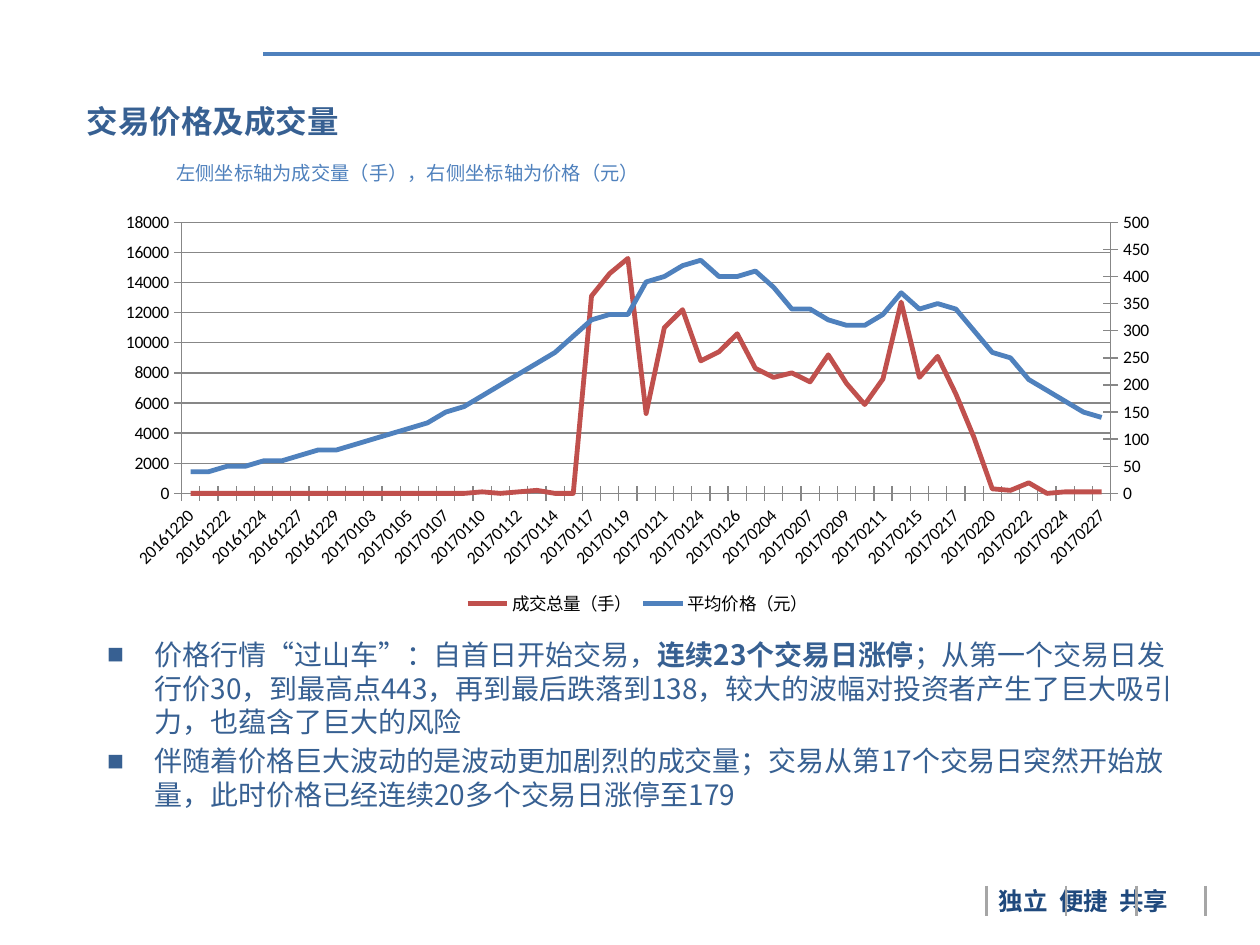
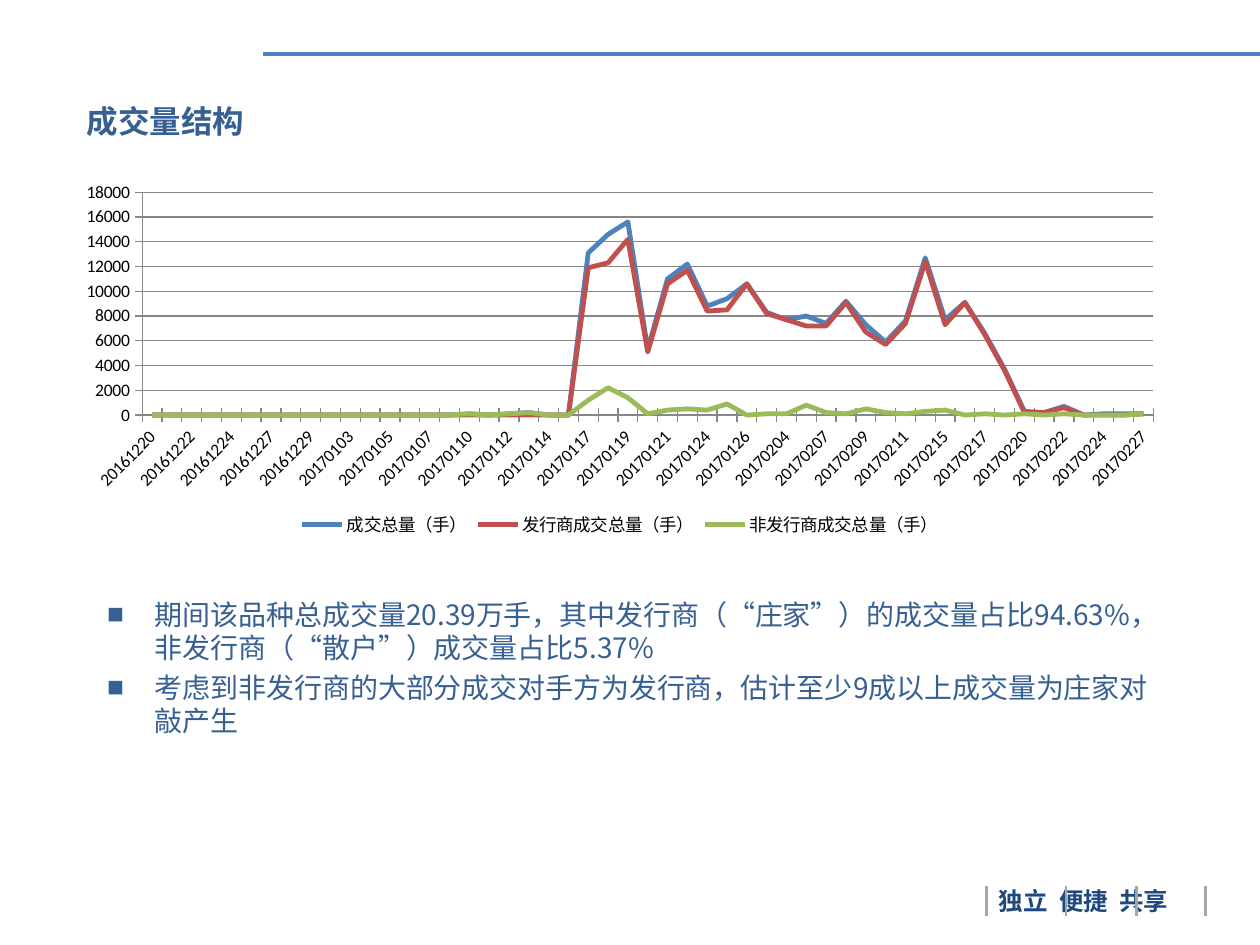
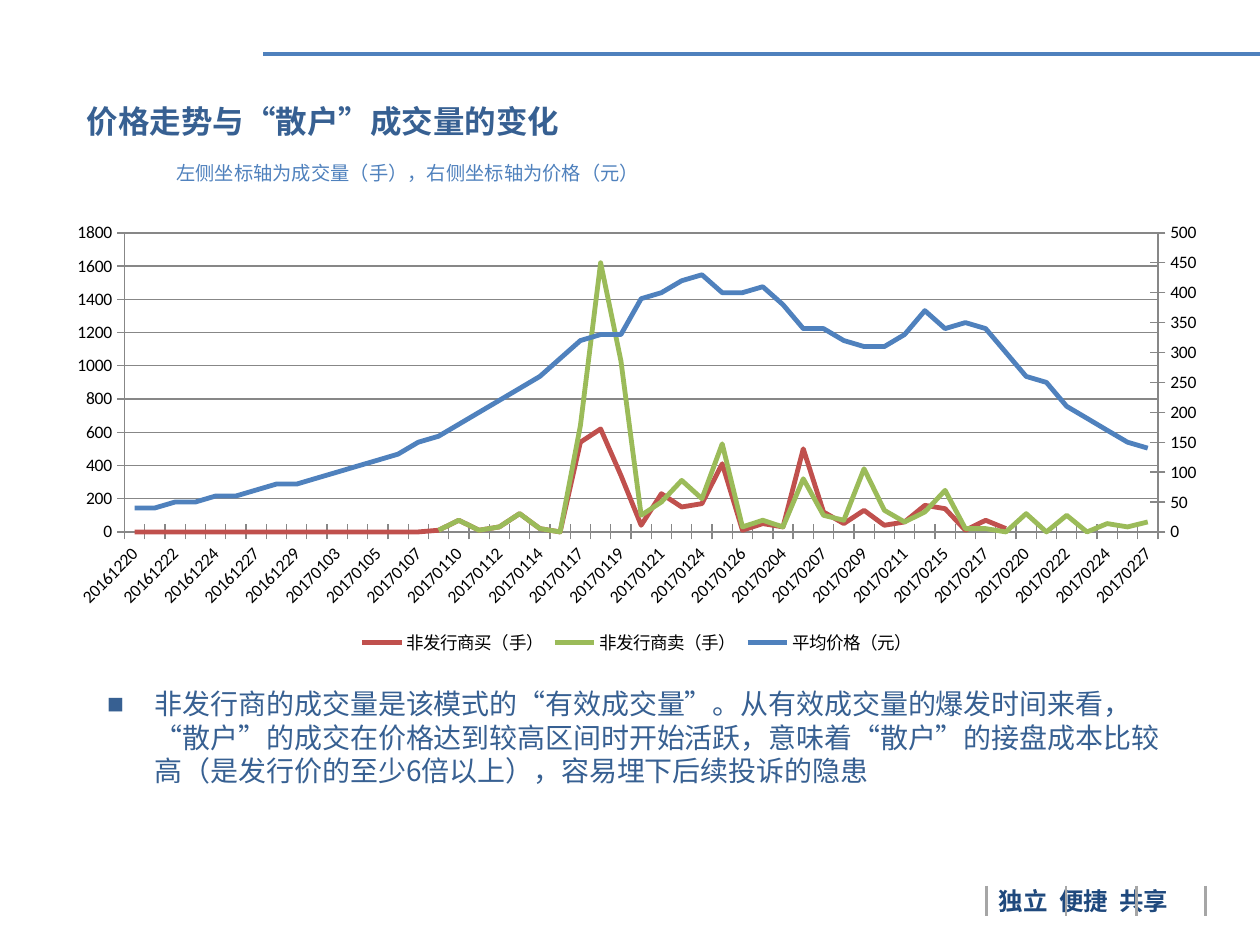
import copy
import dataclasses

import pptx
import pptx.chart.data
import pptx.dml.color
import pptx.enum.chart
import pptx.enum.shapes
import pptx.enum.text
import pptx.oxml
import pptx.oxml.ns
import pptx.util

Inches = pptx.util.Inches
Pt = pptx.util.Pt
qn = pptx.oxml.ns.qn


@dataclasses.dataclass(frozen=True)
class Theme:
    blue: str = "4F81BD"
    red: str = "C0504D"
    green: str = "9BBB59"
    heading: str = "376092"
    motto: str = "1F497D"
    divider: str = "A6A6A6"
    axis: str = "878787"
    black: str = "000000"
    text_font: str = "Noto Sans CJK SC"
    chart_font: str = "Calibri"
    title_size: float = 18
    body_size: float = 16
    motto_size: float = 14
    caption_size: float = 11
    chart_size: float = 10
    rule_width: float = 2.25
    divider_width: float = 1.5
    series_width: float = 2.75
    axis_width: float = 0.75


theme = Theme()


def rgb(value):
    return pptx.dml.color.RGBColor.from_string(value)


def add_span(para, text, size, color, bold=False):
    span = para.add_run()
    span.text = text
    span.font.size = Pt(size)
    span.font.bold = bold
    span.font.color.rgb = rgb(color)
    span.font.name = theme.text_font
    east_asian = span._r.get_or_add_rPr().makeelement(qn("a:ea"), {"typeface": theme.text_font})
    span.font._element.find(qn("a:latin")).addnext(east_asian)
    return span


# Trading days
trading_days = {
    "201612": "20 21 22 23 24 26 27 28 29 30",
    "201701": "03 04 05 06 07 09 10 11 12 13 14 16 17 18 19 20 21 23 24 25 26",
    "201702": "03 04 06 07 08 09 10 11 13 15 16 17 18 20 21 22 23 24 25 27",
}
dates = [month + day for month, days in trading_days.items() for day in days.split()]

# Series values, one per trading day
total_volume = [0] * 16 + [
    100, 0, 100, 200, 0, 0, 13100, 14600, 15600, 5300, 11000, 12200, 8800, 9400, 10600,
    8300, 7700, 8000, 7400, 9200, 7300, 5900, 7600, 12700, 7700, 9100, 6600, 3700,
    300, 200, 700, 0, 100, 100, 100]
issuer_volume = [0] * 22 + [
    11900, 12300, 14200, 5100, 10600, 11700, 8400, 8500, 10600, 8200, 7700, 7200, 7200,
    9100, 6700, 5700, 7400, 12400, 7300, 9100, 6500, 3600, 200, 200, 600, 0, 0, 0, 100]
retail_volume = [0] * 16 + [
    100, 0, 100, 200, 0, 0, 1200, 2200, 1400, 100, 400, 500, 400, 900, 0, 100, 100, 800,
    200, 100, 500, 200, 100, 300, 400, 0, 100, 0, 100, 0, 100, 0, 0, 0, 100]
retail_buys = [0] * 15 + [
    10, 70, 10, 30, 110, 20, 0, 540, 620, 340, 40, 230, 150, 170, 410, 10, 50, 30, 500,
    120, 50, 130, 40, 60, 160, 140, 10, 70, 20, None, 0] + [None] * 5
retail_sales = [None] * 4 + [0] + [None] * 8 + [
    0, None, 10, 70, 10, 30, 110, 20, 0, 640, 1620, 1030, 100, 180, 310, 200, 530, 30, 70,
    30, 320, 100, 70, 380, 130, 60, 120, 250, 20, 20, 0, 110, 0, 100, 0, 50, 30, 60]
average_price = [
    40, 40, 50, 50, 60, 60, 70, 80, 80, 90, 100, 110, 120, 130, 150, 160, 180, 200, 220,
    240, 260, 290, 320, 330, 330, 390, 400, 420, 430, 400, 400, 410, 380, 340, 340, 320,
    310, 310, 330, 370, 340, 350, 340, 300, 260, 250, 210, 190, 170, 150, 140]

# Slide contents; each bullet is a list of (text, bold)
axis_caption = "左侧坐标轴为成交量（手），右侧坐标轴为价格（元）"
price_series = ("平均价格（元）", average_price, theme.blue)
pages = [
    dict(
        title="交易价格及成交量", caption=axis_caption,
        body_top=5.01, body_height=1.5,
        bullets=[
            [("价格行情“过山车”：自首日开始交易，", False),
             ("连续23个交易日涨停", True),
             ("；从第一个交易日发行价30，到最高点443，再到最后跌落到138，"
              "较大的波幅对投资者产生了巨大吸引力，也蕴含了巨大的风险", False)],
            [("伴随着价格巨大波动的是波动更加剧烈的成交量；交易从第17个交易日突然开始放量，"
              "此时价格已经连续20多个交易日涨停至179", False)],
        ],
        chart_place=(0.83, 1.62, 8.46, 3.31), volume_step=2000,
        volumes=[("成交总量（手）", total_volume, theme.red)], price=price_series,
    ),
    dict(
        title="成交量结构", caption=None,
        body_top=4.69, body_height=1.23,
        bullets=[
            [("期间该品种总成交量20.39万手，其中发行商（“庄家”）的成交量占比94.63%，"
              "非发行商（“散户”）成交量占比5.37%", False)],
            [("考虑到非发行商的大部分成交对手方为发行商，估计至少9成以上成交量为庄家对敲产生", False)],
        ],
        chart_place=(0.51, 1.39, 8.82, 2.91), volume_step=2000,
        volumes=[("成交总量（手）", total_volume, theme.blue),
                 ("发行商成交总量（手）", issuer_volume, theme.red),
                 ("非发行商成交总量（手）", retail_volume, theme.green)], price=None,
    ),
    dict(
        title="价格走势与“散户”成交量的变化", caption=axis_caption,
        body_top=5.4, body_height=0.91,
        bullets=[
            [("非发行商的成交量是该模式的“有效成交量”。从有效成交量的爆发时间来看， "
              "“散户”的成交在价格达到较高区间时开始活跃，意味着“散户”的接盘成本比较高"
              "（是发行价的至少6倍以上），容易埋下后续投诉的隐患", False)],
        ],
        chart_place=(0.43, 1.7, 9.25, 3.54), volume_step=200,
        volumes=[("非发行商买（手）", retail_buys, theme.red),
                 ("非发行商卖（手）", retail_sales, theme.green)], price=price_series,
    ),
]

# Lines on every slide: start, end, colour, width
shared_lines = [((2.09, 0.43), (10.04, 0.43), theme.blue, theme.rule_width)]
shared_lines += [((x, 7.03), (x, 7.27), theme.divider, theme.divider_width)
                 for x in (7.83, 8.46, 9.02, 9.57)]

deck = pptx.Presentation()
deck.slide_width = Inches(10)
deck.slide_height = Inches(7.5)

for content in pages:
    page = deck.slides.add_slide(deck.slide_layouts[1])
    title, body = page.placeholders

    # Title, bullet list, footer motto and axis caption frames
    motto = page.shapes.add_textbox(0, 0, 0, 0)
    frames = [(title, 0.59, 0.76, 6.77, 0.4),
              (body, 0.75, content["body_top"], 8.66, content["body_height"]),
              (motto, 7.83, 6.98, 1.97, 0.34)]
    if content["caption"]:
        caption = page.shapes.add_textbox(0, 0, 0, 0)
        frames.append((caption, 1.3, 1.23, 7.56, 0.29))
        add_span(caption.text_frame.paragraphs[0], content["caption"],
                 theme.caption_size, theme.blue)
    for box, left, top, width, height in frames:
        box.left, box.top = Inches(left), Inches(top)
        box.width, box.height = Inches(width), Inches(height)
        box.text_frame.word_wrap = True
        box.text_frame.auto_size = pptx.enum.text.MSO_AUTO_SIZE.SHAPE_TO_FIT_TEXT
        box.text_frame.vertical_anchor = pptx.enum.text.MSO_ANCHOR.TOP

    # Title
    para = title.text_frame.paragraphs[0]
    para.alignment = pptx.enum.text.PP_ALIGN.LEFT
    add_span(para, content["title"], theme.title_size, theme.heading, True)

    # Bullets
    for number, bullet in enumerate(content["bullets"]):
        para = body.text_frame.add_paragraph() if number else body.text_frame.paragraphs[0]
        para.level = 1
        properties = para._p.get_or_add_pPr()
        properties.set("marL", str(Inches(0.38)))
        properties.set("indent", str(Inches(-0.38)))
        mark = properties.makeelement(qn("a:buChar"), {"char": "■"})
        properties.append(mark)
        for text, bold in bullet:
            add_span(para, text, theme.body_size, theme.heading, bold)

    # Footer motto, with widened spaces between the words
    para = motto.text_frame.paragraphs[0]
    for number, word in enumerate(("独立", "便捷", "共享")):
        if number:
            gap = add_span(para, " ", theme.motto_size, theme.motto, True)
            gap._r.get_or_add_rPr().set("spc", "310")
        add_span(para, word, theme.motto_size, theme.motto, True)

    # Header rule and footer dividers
    for start, end, color, width in shared_lines:
        line = page.shapes.add_connector(
            pptx.enum.shapes.MSO_CONNECTOR.STRAIGHT, *map(Inches, start + end))
        line.line.color.rgb = rgb(color)
        line.line.width = Pt(width)
        line_properties = line._element.spPr
        line_properties.append(line_properties.makeelement(qn("a:effectLst"), {}))

    # Line chart
    series_list = content["volumes"] + ([content["price"]] if content["price"] else [])
    data = pptx.chart.data.CategoryChartData()
    data.categories = dates
    for name, values, color in series_list:
        data.add_series(name, values)
    chart = page.shapes.add_chart(pptx.enum.chart.XL_CHART_TYPE.LINE,
                                  *map(Inches, content["chart_place"]), data).chart
    chart.has_title = False
    chart.font.name = theme.chart_font
    chart.font.size = Pt(theme.chart_size)
    chart.font.color.rgb = rgb(theme.black)
    chart.has_legend = True
    chart.legend.position = pptx.enum.chart.XL_LEGEND_POSITION.BOTTOM
    chart.legend.include_in_layout = False
    chart.plots[0].vary_by_categories = False
    for series, (name, values, color) in zip(chart.plots[0].series, series_list):
        series.smooth = False
        series.format.line.color.rgb = rgb(color)
        series.format.line.width = Pt(theme.series_width)

    # Axes
    volume_axis = chart.value_axis
    volume_axis.minimum_scale = 0
    volume_axis.maximum_scale = 9 * content["volume_step"]
    volume_axis.major_unit = content["volume_step"]
    volume_axis.has_major_gridlines = True
    for axis in (chart.category_axis, volume_axis):
        axis.major_tick_mark = pptx.enum.chart.XL_TICK_MARK.CROSS
    for part in (chart.category_axis, volume_axis, volume_axis.major_gridlines):
        part.format.line.color.rgb = rgb(theme.axis)
        part.format.line.width = Pt(theme.axis_width)

    # Price moves to a second plot with its own axis on the right
    if content["price"]:
        left_plot = chart.plots[0]._element
        right_plot = copy.deepcopy(left_plot)
        left_plot.remove(left_plot.findall(qn("c:ser"))[-1])
        for series in right_plot.findall(qn("c:ser"))[:-1]:
            right_plot.remove(series)
        left_plot.addnext(right_plot)

        date_axis = chart.category_axis._element
        right_dates = copy.deepcopy(date_axis)
        right_prices = copy.deepcopy(volume_axis._element)
        right_prices.remove(right_prices.find(qn("c:majorGridlines")))
        volume_axis._element.addnext(right_prices)
        right_prices.addnext(right_dates)
        for reference, number in zip(right_plot.findall(qn("c:axId")), ("5001", "5002")):
            reference.set("val", number)
        for axis, own, other in ((right_dates, "5001", "5002"), (right_prices, "5002", "5001")):
            axis.find(qn("c:axId")).set("val", own)
            axis.find(qn("c:crossAx")).set("val", other)
        right_dates.find(qn("c:delete")).set("val", "1")
        right_prices.find(qn("c:axPos")).set("val", "r")
        right_prices.find(qn("c:crosses")).set("val", "max")
        right_prices.find(qn("c:majorUnit")).set("val", "50")
        right_prices.find(qn("c:scaling")).find(qn("c:max")).set("val", "500")

deck.save("out.pptx")
